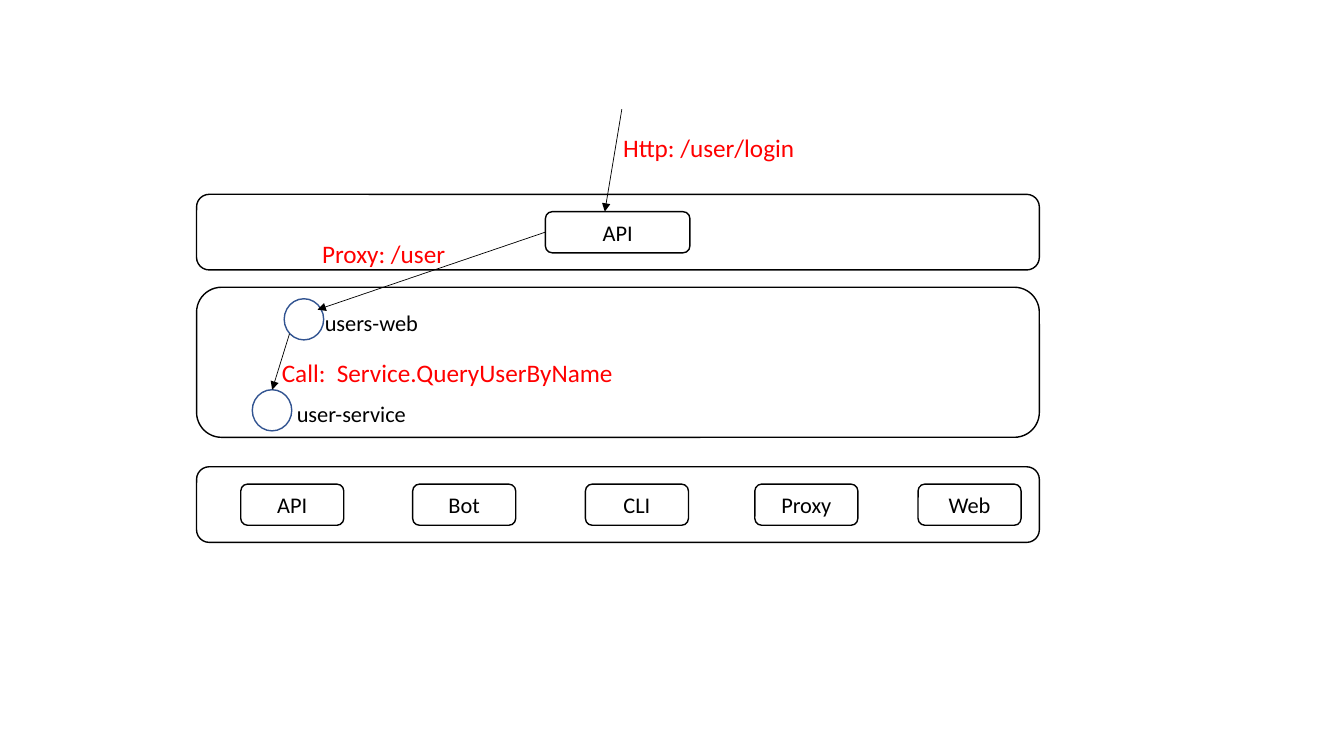
import pptx
import pptx.util
import pptx.dml.color
import pptx.enum.shapes
import pptx.enum.text
import pptx.oxml.ns
from dataclasses import dataclass
from lxml import etree

Pt = pptx.util.Pt
RGB = pptx.dml.color.RGBColor
SHAPE = pptx.enum.shapes.MSO_SHAPE
ALIGN = pptx.enum.text.PP_ALIGN
qn = pptx.oxml.ns.qn


@dataclass(frozen=True)
class Theme:
    font: str = "Calibri"
    white: RGB = RGB(0xFF, 0xFF, 0xFF)
    black: RGB = RGB(0x00, 0x00, 0x00)
    blue: RGB = RGB(0x32, 0x54, 0x91)
    red: RGB = RGB(0xFF, 0x00, 0x00)
    label_size: int = 16
    call_size: int = 18
    outline: float = 1
    arrow: float = 0.5


theme = Theme()

prs = pptx.Presentation()
prs.slide_width, prs.slide_height = Pt(960), Pt(540)
s = prs.slides.add_slide(prs.slide_layouts[6])


def write(sp, text, size, color, align):
    p = sp.text_frame.paragraphs[0]
    p.text = text
    p.alignment = align
    font = p.runs[0].font
    font.name, font.size, font.color.rgb = theme.font, Pt(size), color


def add_outlined(kind, left, top, width, height, color, text=""):
    sp = s.shapes.add_shape(kind, Pt(left), Pt(top), Pt(width), Pt(height))
    sp.shadow.inherit = False
    sp.fill.solid()
    sp.fill.fore_color.rgb = theme.white
    sp.line.color.rgb = color
    sp.line.width = Pt(theme.outline)
    if text:
        sp.text_frame.vertical_anchor = pptx.enum.text.MSO_ANCHOR.MIDDLE
        write(sp, text, theme.label_size, theme.black, ALIGN.CENTER)


# Three layers: gateway, services, toolkit
for top, height in [(138.8, 54), (205.2, 107.2), (333.4, 54)]:
    add_outlined(SHAPE.ROUNDED_RECTANGLE, 140.4, top, 602, height, theme.black)

# Components inside the gateway and toolkit layers
box_height = 29.4
components = [
    ("API", 389.6, 151.2, 103.2),
    ("API", 172, 345.8, 73.6),
    ("Bot", 294.8, 345.8, 73.6),
    ("CLI", 418.2, 345.8, 73.6),
    ("Proxy", 539.2, 345.8, 73.6),
    ("Web", 655.8, 345.8, 73.6),
]
for name, left, top, width in components:
    add_outlined(SHAPE.ROUNDED_RECTANGLE, left, top, width, box_height, theme.black, name)

# Service nodes
for left, top in [(203, 213.4), (180.2, 278.4)]:
    add_outlined(SHAPE.OVAL, left, top, 28.2, box_height, theme.blue)

# Request path
for x1, y1, x2, y2 in [
    (444.2, 78, 432, 151.2),
    (389.6, 165.8, 226.8, 221.2),
    (206.8, 238.4, 194.4, 278.4),
]:
    line = s.shapes.add_connector(
        pptx.enum.shapes.MSO_CONNECTOR.STRAIGHT, Pt(x1), Pt(y1), Pt(x2), Pt(y2))
    line.line.color.rgb = theme.black
    line.line.width = Pt(theme.arrow)
    etree.SubElement(line.line._get_or_add_ln(), qn("a:tailEnd"), type="triangle")
    etree.SubElement(line._element.spPr, qn("a:effectLst"))

# Node names in black, calls in red
node_style = (theme.label_size, theme.black, ALIGN.CENTER)
call_style = (theme.call_size, theme.red, ALIGN.LEFT)
labels = [
    ("users-web", 219.6, 217.6, 91.4, 26.6, node_style),
    ("user-service", 193.8, 282.4, 114.4, 26.6, node_style),
    ("Http: /user/login", 438, 90.8, 150.4, 29, call_style),
    ("Proxy: /user", 223, 166.6, 126.8, 29, call_style),
    ("Call:  Service.QueryUserByName", 194.2, 251.6, 283.6, 29, call_style),
]
for text, left, top, width, height, style in labels:
    sp = s.shapes.add_textbox(Pt(left), Pt(top), Pt(width), Pt(height))
    sp.text_frame.word_wrap = True
    write(sp, text, *style)

prs.save("out.pptx")
